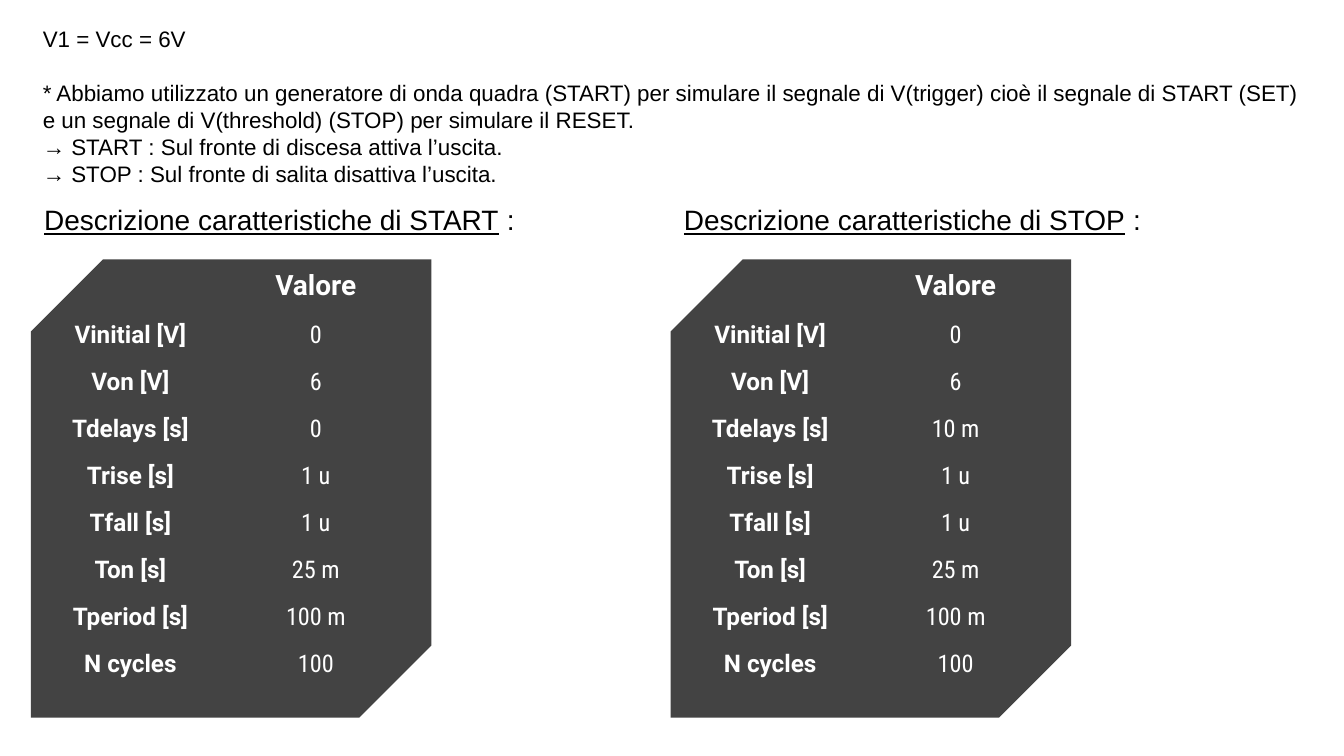
from dataclasses import dataclass

from lxml import etree
from pptx import Presentation
from pptx.dml.color import RGBColor
from pptx.enum.shapes import MSO_SHAPE
from pptx.enum.text import MSO_ANCHOR, PP_ALIGN
from pptx.oxml.ns import qn
from pptx.util import Inches, Pt

SNIP = MSO_SHAPE.SNIP_2_DIAG_RECTANGLE
MIDDLE = MSO_ANCHOR.MIDDLE
CENTER = PP_ALIGN.CENTER


@dataclass(frozen=True)
class Theme:
    ink: RGBColor = RGBColor(0, 0, 0)
    panel: RGBColor = RGBColor(0x43, 0x43, 0x43)
    light: RGBColor = RGBColor(255, 255, 255)
    plain: str = "Arial"
    label: str = "Roboto"
    value: str = "Roboto Condensed"
    note: int = 12
    cell: int = 13
    title: int = 15


class Board:
    def __init__(self, slide, theme):
        self.shapes = slide.shapes
        self.theme = theme

    def run(self, para, text, size, face, color, bold=False, under=False):
        run = para.add_run()
        run.text = text
        font = run.font
        font.size = Pt(size)
        font.name = face
        font.color.rgb = color
        font.bold = bold
        font.underline = under

    def text(self, left, top, width, height, size, lines):
        box = self.shapes.add_textbox(
            Inches(left), Inches(top), Inches(width), Inches(height))
        frame = box.text_frame
        frame.word_wrap = True
        frame.margin_left = frame.margin_right = Inches(0.1)
        frame.margin_top = frame.margin_bottom = Inches(0.1)
        for i, (gap, runs) in enumerate(lines):
            para = frame.add_paragraph() if i else frame.paragraphs[0]
            if gap:
                para.space_before = Pt(gap)
            for text, under in runs:
                self.run(para, text, size, self.theme.plain, self.theme.ink,
                         under=under)

    def panel(self, left, top, width, height):
        shape = self.shapes.add_shape(
            SNIP, Inches(left), Inches(top), Inches(width), Inches(height))
        shape.adjustments[0] = 0.18
        shape.adjustments[1] = 0
        shape.shadow.inherit = False
        shape.fill.solid()
        shape.fill.fore_color.rgb = self.theme.panel
        shape.line.fill.background()

    def clear(self, cell):
        props = cell._tc.get_or_add_tcPr()
        for side in ("lnL", "lnR", "lnT", "lnB"):
            line = etree.SubElement(props, qn(f"a:{side}"))
            etree.SubElement(line, qn("a:noFill"))
        cell.fill.background()

    def table(self, left, top, rows):
        theme = self.theme
        wide, head, tall = 1.38, 0.39, 0.35
        table = self.shapes.add_table(
            len(rows), 2, Inches(left), Inches(top), Inches(2 * wide),
            Inches(head + tall * (len(rows) - 1))).table
        table.first_row = table.horz_banding = False
        for col in table.columns:
            col.width = Inches(wide)
        for r, row in enumerate(rows):
            table.rows[r].height = Inches(tall if r else head)
            for c, text in enumerate(row):
                cell = table.cell(r, c)
                self.clear(cell)
                cell.vertical_anchor = MIDDLE
                cell.margin_left = Inches(0.1)
                cell.margin_right = cell.margin_top = cell.margin_bottom = 0
                para = cell.text_frame.paragraphs[0]
                para.alignment = CENTER
                bold = r == 0 or c == 0
                if text:
                    self.run(para, text, theme.cell if r else theme.title,
                             theme.label if bold else theme.value,
                             theme.light, bold=bold)


NOTES = [
    (0, "V1 = Vcc = 6V"),
    (14.4, "* Abbiamo utilizzato un generatore di onda quadra (START) per "
           "simulare il segnale di V(trigger) cioè il segnale di START (SET) "
           "e un segnale di V(threshold) (STOP) per simulare il RESET."),
    (0, "→ START : Sul fronte di discesa attiva l’uscita."),
    (0, "→ STOP : Sul fronte di salita disattiva l’uscita."),
]
LABELS = ["Vinitial [V]", "Von [V]", "Tdelays [s]", "Trise [s]", "Tfall [s]",
          "Ton [s]", "Tperiod [s]", "N cycles"]
SIGNALS = [
    (0.23, "START", ["0", "6", "0", "1 u", "1 u", "25 m", "100 m", "100"]),
    (4.99, "STOP", ["0", "6", "10 m", "1 u", "1 u", "25 m", "100 m", "100"]),
]


def main():
    deck = Presentation()
    deck.slide_width = Inches(10)
    deck.slide_height = deck.slide_width * 9 // 16
    theme = Theme()
    board = Board(deck.slides.add_slide(deck.slide_layouts[6]), theme)
    board.text(0.22, 0.09, 9.56, 1.32, theme.note,
               [(gap, [(text, False)]) for gap, text in NOTES])
    for left, name, values in SIGNALS:
        title = f"Descrizione caratteristiche di {name}"
        board.text(left, 1.41, 3.72, 0.53, theme.title,
                   [(0, [(title, True), (" :", False)])])
        board.panel(left, 1.93, 2.98, 3.41)
        board.table(left, 1.93, [("", "Valore"), *zip(LABELS, values)])
    deck.save("out.pptx")


if __name__ == "__main__":
    main()
